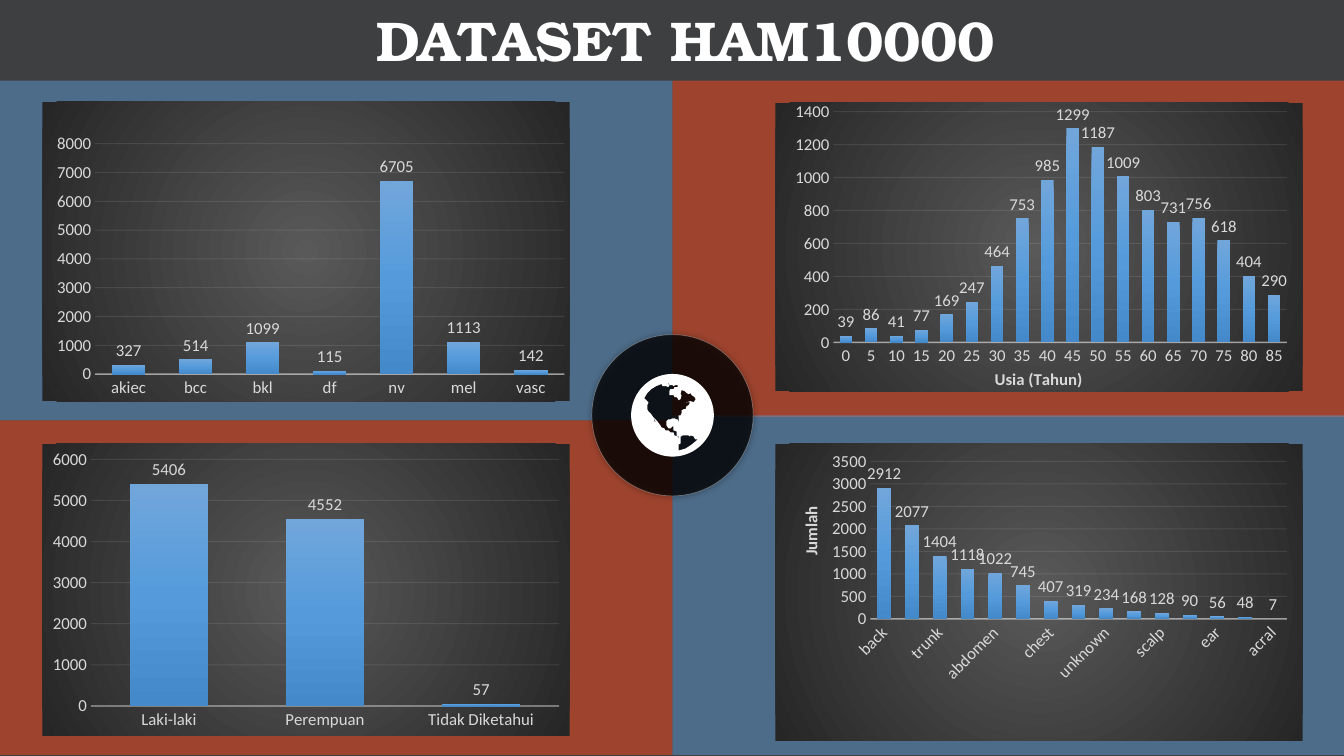
from dataclasses import dataclass
from math import cos, pi, sin

from lxml.etree import SubElement
from pptx import Presentation
from pptx.chart.data import CategoryChartData
from pptx.dml.color import RGBColor
from pptx.enum.chart import XL_CHART_TYPE, XL_LABEL_POSITION, XL_TICK_MARK
from pptx.enum.shapes import MSO_SHAPE
from pptx.enum.text import MSO_AUTO_SIZE, PP_ALIGN
from pptx.oxml import parse_xml
from pptx.oxml.ns import nsdecls, qn
from pptx.util import Inches, Pt


@dataclass(frozen=True)
class Theme:
    """Colours, fonts and type sizes of the slide."""
    base: str = "0E0F11"
    red: str = "FE4A1E"
    blue: str = "5C9AD3"
    black: str = "000000"
    white: str = "FFFFFF"
    label: str = "D9D9D9"
    rule: str = "F2F2F2"
    bars: tuple = ((0, "71A6DB"), (50, "559BDB"), (100, "448ACA"))
    backdrop: tuple = ((0, "595959"), (100, "262626"))
    title_font: str = "TeX Gyre Bonum"
    chart_font: str = "Calibri"
    title_size: int = 40
    label_size: int = 12
    chart_size: int = 10


THEME = Theme()

NORTH_AMERICA = [
    (680, 400), (681, 399), (685, 398), (688, 399), (690, 396), (689, 394),
    (686, 392), (685, 390), (683, 391), (681, 390), (679, 388), (676, 387),
    (675, 391), (676, 392), (675, 396), (673, 397), (672, 395), (671, 394),
    (669, 394), (668, 392), (664, 392), (664, 388), (665, 386), (668, 386),
    (669, 384), (672, 384), (672, 382), (670, 382), (668, 383), (667, 382),
    (664, 382), (664, 381), (661, 379), (664, 382), (663, 384), (660, 383),
    (657, 383), (656, 381), (651, 383), (646, 386), (642, 390), (639, 395),
    (640, 396), (643, 399), (643, 400), (642, 402), (642, 406), (643, 408),
    (646, 411), (648, 414), (649, 418), (651, 420), (649, 416), (648, 414),
    (652, 418), (655, 422), (656, 424), (659, 425), (660, 427), (663, 427),
    (665, 429), (668, 429), (669, 432), (672, 433), (673, 435), (673, 433),
    (671, 432), (671, 428), (668, 427), (668, 423), (667, 423), (665, 425),
    (663, 425), (661, 422), (661, 418), (663, 416), (665, 416), (667, 415),
    (669, 415), (671, 416), (672, 416), (673, 419), (673, 415), (673, 412),
    (675, 412), (676, 410), (676, 407), (678, 406), (680, 406), (681, 403),
    (683, 402), (684, 400), (684, 399), (681, 399),
]
SOUTH_AMERICA = [
    (692, 436), (690, 436), (689, 435), (688, 433), (685, 432), (684, 433),
    (683, 432), (680, 432), (677, 432), (676, 433), (675, 433), (675, 437),
    (675, 440), (673, 441), (673, 447), (680, 445), (686, 441),
]


def set_opacity(colours, percent):
    """Give each colour element the opacity."""
    for colour in colours:
        SubElement(colour, qn("a:alpha"), val=str(percent * 1000))


def gradient(stops, direction):
    """Return a gradient fill element."""
    marks = "".join(
        f'<a:gs pos="{at * 1000}"><a:srgbClr val="{colour}"/></a:gs>' for at, colour in stops)
    return f"<a:gradFill {nsdecls('a')}><a:gsLst>{marks}</a:gsLst>{direction}</a:gradFill>"


def manual_layout(x, y, size="", target=""):
    """Return a fixed chart layout element."""
    return parse_xml(
        f'<c:manualLayout {nsdecls("c")}>{target}<c:xMode val="edge"/><c:yMode val="edge"/>'
        f'<c:x val="{x}"/><c:y val="{y}"/>{size}</c:manualLayout>')


def style_font(font, size, colour, family, bold=False):
    """Set the look of a font."""
    font.size, font.name, font.bold = Pt(size), family, bold
    font.color.rgb = RGBColor.from_string(colour)


def add_panel(slide, box, colour, opacity, preset=MSO_SHAPE.RECTANGLE):
    """Add a translucent borderless shape."""
    panel = slide.shapes.add_shape(preset, *map(Inches, box))
    panel.shadow.inherit = False
    panel.fill.solid()
    panel.fill.fore_color.rgb = RGBColor.from_string(colour)
    panel.line.fill.background()
    set_opacity(panel.element.xpath("p:spPr/a:solidFill/a:srgbClr"), opacity)
    return panel


def add_heading(slide, text):
    """Add the slide title."""
    heading = slide.shapes.add_textbox(*map(Inches, (3.04, 0.01, 7.51, 0.77)))
    frame = heading.text_frame
    frame.word_wrap = True
    frame.auto_size = MSO_AUTO_SIZE.SHAPE_TO_FIT_TEXT
    paragraph = frame.paragraphs[0]
    paragraph.alignment = PP_ALIGN.CENTER
    run = paragraph.add_run()
    run.text = text
    style_font(run.font, THEME.title_size, THEME.white, THEME.title_font, True)


def add_hub(slide):
    """Add the dark disc with a soft shadow."""
    hub = add_panel(slide, (5.87, 3.32, 1.6, 1.6), THEME.black, 75, MSO_SHAPE.OVAL)
    hub.line.color.rgb = RGBColor.from_string(THEME.white)
    hub.line.width = Pt(0.5)
    set_opacity(hub.element.xpath("p:spPr/a:ln//a:srgbClr"), 30)
    effects = hub.element.xpath("p:spPr/a:effectLst")[0]
    shadow = SubElement(effects, qn("a:outerShdw"), blurRad=str(Pt(5)))
    set_opacity([SubElement(shadow, qn("a:srgbClr"), val=THEME.black)], 40)


def add_globe(slide):
    """Add the white globe with its continents cut out."""
    angles = [2 * pi * step / 72 for step in range(72)]
    rim = [(667 + 41 * cos(angle), 412 + 41 * sin(angle)) for angle in angles]
    outlines = [[(Inches(x / 100), Inches(y / 100)) for x, y in outline]
                for outline in (rim, NORTH_AMERICA, SOUTH_AMERICA)]
    builder = slide.shapes.build_freeform(*outlines[0][0])
    for index, outline in enumerate(outlines):
        if index:
            builder.move_to(*outline[0])
        builder.add_line_segments(outline[1:], close=True)
    globe = builder.convert_to_shape()
    globe.shadow.inherit = False
    globe.fill.solid()
    globe.fill.fore_color.rgb = RGBColor.from_string(THEME.white)
    globe.line.fill.background()


def style_axis(axis):
    """Set tick marks and labels of an axis."""
    axis.major_tick_mark = axis.minor_tick_mark = XL_TICK_MARK.NONE
    style_font(axis.tick_labels.font, THEME.label_size, THEME.label, THEME.chart_font)


def style_rule(line, width):
    """Set colour and width of a chart line."""
    line.color.rgb = RGBColor.from_string(THEME.rule)
    line.width = Pt(width)


def add_axis_title(axis, text, x, y):
    """Add a bold axis title at a fixed place."""
    run = axis.axis_title.text_frame.paragraphs[0].add_run()
    run.text = text
    style_font(run.font, THEME.label_size, THEME.label, THEME.chart_font, True)
    axis.axis_title.element.xpath("c:layout")[0].append(manual_layout(x, y))


def add_column_chart(slide, box, counts, top, unit, plot_box=None):
    """Add a column chart on a dark backdrop."""
    data = CategoryChartData()
    data.categories = list(counts)
    data.add_series("Series 1", list(counts.values()))
    chart = slide.shapes.add_chart(
        XL_CHART_TYPE.COLUMN_CLUSTERED, *map(Inches, box), data).chart
    chart.has_legend = chart.has_title = False
    style_font(chart.font, THEME.chart_size, THEME.black, THEME.chart_font)
    plot = chart.plots[0]
    plot.gap_width, plot.overlap, plot.vary_by_categories = 100, -24, False
    plot.has_data_labels = True
    labels = plot.data_labels
    labels.show_value, labels.position = True, XL_LABEL_POSITION.OUTSIDE_END
    style_font(labels.font, THEME.label_size, THEME.label, THEME.chart_font)
    style_axis(chart.category_axis)
    style_axis(chart.value_axis)
    style_rule(chart.category_axis.format.line, 1)
    style_rule(chart.value_axis.major_gridlines.format.line, 0.75)
    chart.value_axis.format.line.fill.background()
    chart.value_axis.minimum_scale = 0
    chart.value_axis.maximum_scale, chart.value_axis.major_unit = top, unit
    root = chart.element
    set_opacity(root.xpath(".//c:catAx/c:spPr//a:srgbClr"), 54)
    set_opacity(root.xpath(".//c:majorGridlines//a:srgbClr"), 10)
    bars = gradient(THEME.bars, '<a:lin ang="5400000" scaled="0"/>')
    root.xpath(".//c:ser")[0].get_or_add_spPr().append(parse_xml(bars))
    glow = gradient(THEME.backdrop, '<a:path path="circle"><a:fillToRect l="50000" t="50000" '
                    'r="50000" b="50000"/></a:path>')
    root.xpath("c:chart")[0].addnext(parse_xml(
        f'<c:spPr {nsdecls("c", "a")}>{glow}<a:ln><a:noFill/></a:ln></c:spPr>'))
    if plot_box:
        x, y, width, height = plot_box
        area = root.xpath("c:chart/c:plotArea")[0]
        for layout in area.xpath("c:layout"):
            area.remove(layout)
        layout = parse_xml(f'<c:layout {nsdecls("c")}/>')
        layout.append(manual_layout(x, y, f'<c:w val="{width}"/><c:h val="{height}"/>',
                                    '<c:layoutTarget val="inner"/>'))
        area.insert(0, layout)
    return chart


def main():
    """Build and save the slide."""
    deck = Presentation()
    deck.slide_width, deck.slide_height = Inches(13.33), Inches(7.5)
    slide = deck.slides.add_slide(deck.slide_layouts[6])
    add_panel(slide, (0, 0, 13.33, 7.5), THEME.base, 80)
    add_panel(slide, (6.67, 0.8, 6.67, 3.34), THEME.red, 50)
    add_panel(slide, (0, 0.8, 6.67, 3.37), THEME.blue, 50)
    add_panel(slide, (6.67, 4.12, 6.67, 3.37), THEME.blue, 50)
    add_panel(slide, (0, 4.17, 6.67, 3.32), THEME.red, 50)
    add_heading(slide, "DATASET HAM10000")
    add_hub(slide)
    add_globe(slide)

    diagnoses = {"akiec": 327, "bcc": 514, "bkl": 1099, "df": 115, "nv": 6705,
                 "mel": 1113, "vasc": 142}
    sexes = {"Laki-laki": 5406, "Perempuan": 4552, "Tidak Diketahui": 57}
    age_counts = [39, 86, 41, 77, 169, 247, 464, 753, 985, 1299, 1187, 1009,
                  803, 731, 756, 618, 404, 290]
    ages = {str(5 * step): count for step, count in enumerate(age_counts)}
    sites = {"back": 2912, "lower extremity": 2077, "trunk": 1404,
             "upper extremity": 1118, "abdomen": 1022, "face": 745, "chest": 407,
             "foot": 319, "unknown": 234, "neck": 168, "scalp": 128, "hand": 90,
             "ear": 56, "genital": 48, "acral": 7}
    add_column_chart(slide, (0.42, 1.01, 5.23, 2.97), diagnoses, 8000, 1000,
                     (0.1, 0.14, 0.89, 0.77))
    add_column_chart(slide, (0.42, 4.4, 5.23, 2.9), sexes, 6000, 1000)
    age_chart = add_column_chart(slide, (7.69, 1.01, 5.23, 2.91), ages, 1400, 200,
                                 (0.11, 0.03, 0.86, 0.8))
    add_axis_title(age_chart.category_axis, "Usia (Tahun)", 0.41, 0.91)
    site_chart = add_column_chart(slide, (7.69, 4.4, 5.23, 2.95), sites, 3500, 500,
                                  (0.18, 0.06, 0.79, 0.53))
    add_axis_title(site_chart.value_axis, "Jumlah", 0.04, 0.2)
    site_chart.element.xpath(".//c:valAx/c:title//a:bodyPr")[0].set("rot", "-5400000")
    site_chart.element.xpath(".//c:catAx/c:txPr/a:bodyPr")[0].set("rot", "-2700000")
    deck.save("out.pptx")


if __name__ == "__main__":
    main()
